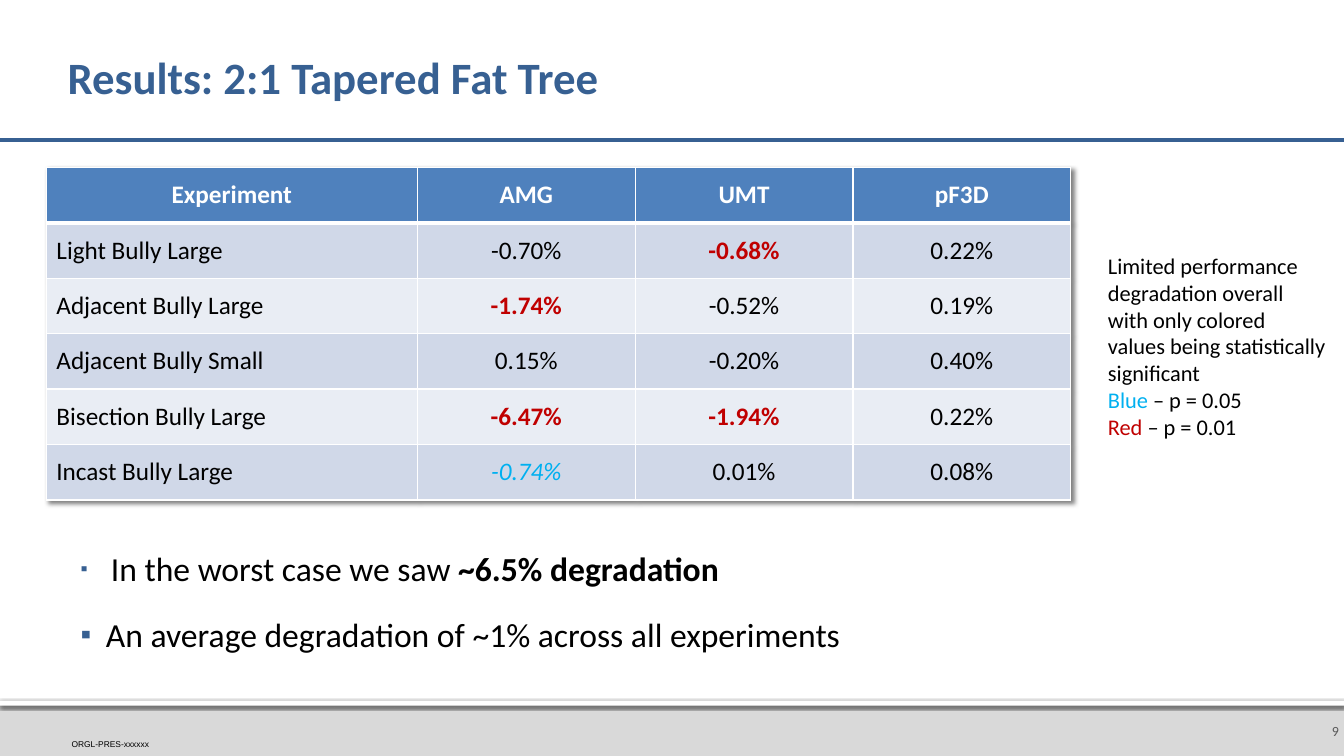
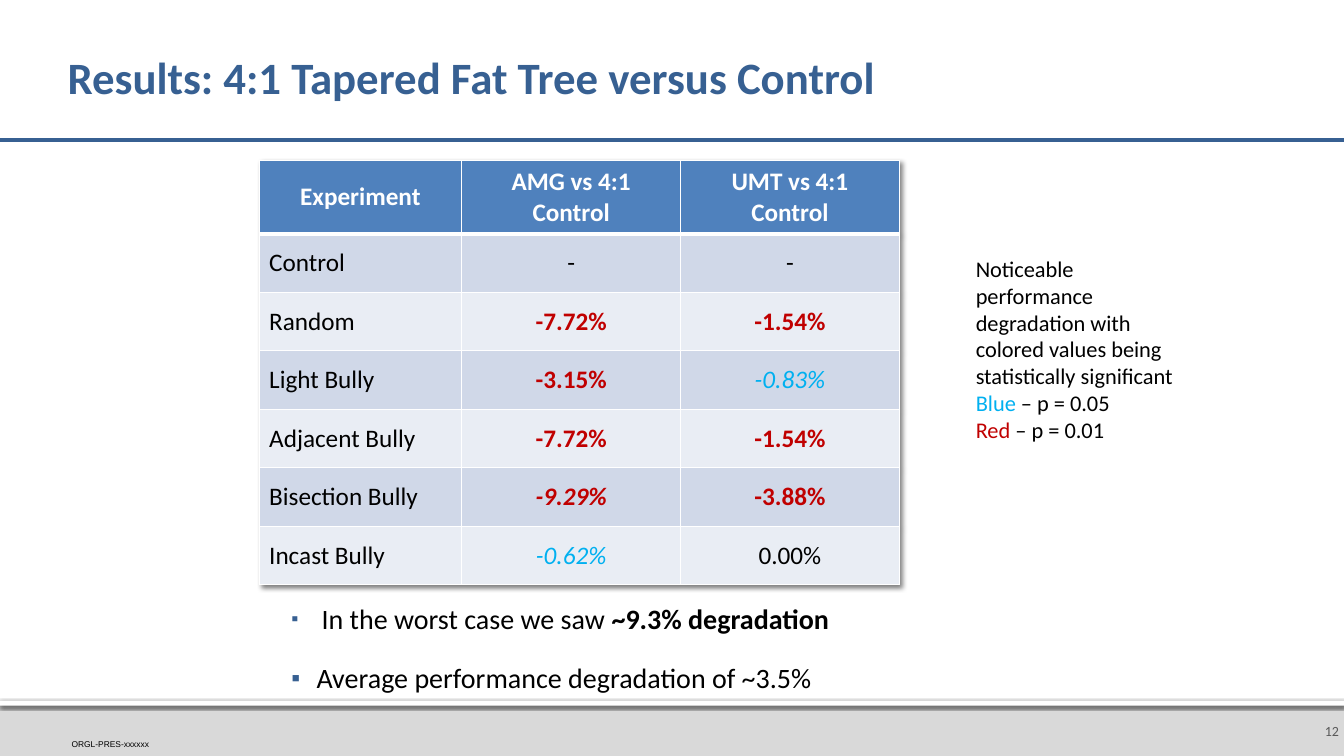
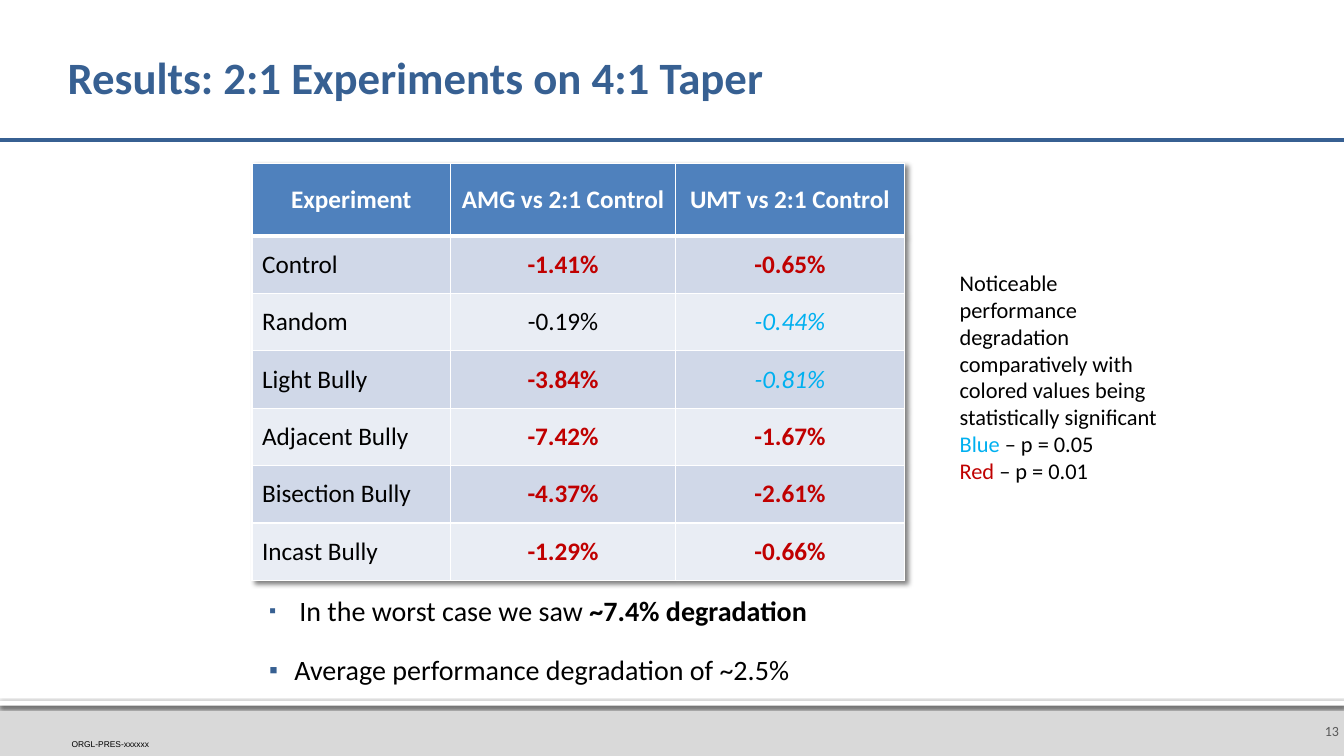
from dataclasses import dataclass
from typing import NamedTuple

from lxml.etree import SubElement
from pptx import Presentation
from pptx.dml.color import RGBColor
from pptx.enum.shapes import MSO_CONNECTOR as Connector, MSO_SHAPE as Preset
from pptx.enum.text import MSO_ANCHOR as Anchor, MSO_AUTO_SIZE as AutoSize, PP_ALIGN as Align
from pptx.oxml.ns import qn
from pptx.util import Inches, Pt

NAVY, HEADER_BLUE, BAND_DARK, BAND_LIGHT = "376092", "4F81BD", "D0D8E8", "E9EDF4"
BLACK, WHITE, FOOTER_GREY, NUMBER_GREY = "000000", "FFFFFF", "D9D9D9", "595959"
RED, BLUE = "C00000", "00B0F0"
WIDTH, HEIGHT = 13.33, 7.5
FOOTER_TOP = 6.95


class Span(NamedTuple):
    """A stretch of text with one look."""
    text: str
    color: str = BLACK
    bold: bool = False
    italic: bool = False
    size: float | None = None


class Box(NamedTuple):
    left: float
    top: float
    width: float
    height: float

    def lengths(self) -> list:
        return [Inches(value) for value in self]


def red(text: str, italic: bool = False) -> Span:
    return Span(text, RED, bold=True, italic=italic)


def blue(text: str) -> Span:
    return Span(text, BLUE, italic=True)


@dataclass
class ResultTable:
    left: float
    top: float
    columns: list[float]
    header_height: float
    row_height: float
    headings: list[str]
    rows: list[tuple]


@dataclass
class ResultSlide:
    number: int
    title: str
    table: ResultTable
    note: str
    note_box: Box
    worst: str
    average: str
    bullet_box: Box
    bullet_size: float


# Text and colour helpers
def rgb(color: str) -> RGBColor:
    return RGBColor.from_string(color)


def style_run(run, span: Span, size: float, font: str = "Calibri") -> None:
    run.font.name = font
    run.font.size = Pt(span.size or size)
    run.font.bold = span.bold
    run.font.italic = span.italic
    run.font.color.rgb = rgb(span.color)


def write_spans(paragraph, spans: list[Span], size: float) -> None:
    for span in spans:
        run = paragraph.add_run()
        run.text = span.text
        style_run(run, span, size)


def add_frame(slide, box: Box, insets=(0.1, 0.05, 0.1, 0.05), anchor=Anchor.TOP):
    frame = slide.shapes.add_textbox(*box.lengths()).text_frame
    frame.word_wrap = True
    frame.vertical_anchor = anchor
    (frame.margin_left, frame.margin_top,
     frame.margin_right, frame.margin_bottom) = map(Inches, insets)
    return frame


def add_label(slide, box: Box, span: Span, size: float, insets, anchor,
              align=Align.LEFT, font: str = "Calibri"):
    frame = add_frame(slide, box, insets, anchor)
    frame.text = span.text
    paragraph = frame.paragraphs[0]
    paragraph.alignment = align
    style_run(paragraph.runs[0], span, size, font)
    return frame


# XML helpers
def add_solid(parent, tag: str, color: str):
    return SubElement(SubElement(parent, qn(tag)), qn("a:srgbClr"), val=color)


def add_shadow(effects, alpha: int, blur: float, distance: float, angle: int) -> None:
    shadow = SubElement(effects, qn("a:outerShdw"), blurRad=str(Pt(blur)),
                        dist=str(Pt(distance)), dir=str(angle * 60000),
                        algn="tl", rotWithShape="0")
    color = SubElement(shadow, qn("a:srgbClr"), val=BLACK)
    SubElement(color, qn("a:alpha"), val=str(alpha * 1000))


def add_borders(cell, top: float, bottom: float) -> None:
    properties = cell._tc.get_or_add_tcPr()
    for side, width in (("L", 1), ("R", 1), ("T", top), ("B", bottom)):
        line = SubElement(properties, qn(f"a:ln{side}"), w=str(Pt(width)))
        add_solid(line, "a:solidFill", WHITE)


def add_bullet(paragraph) -> None:
    paragraph.space_before = Pt(18)
    properties = paragraph._p.get_or_add_pPr()
    properties.set("marL", str(Inches(0.31)))
    properties.set("indent", str(Inches(-0.25)))
    add_solid(properties, "a:buClr", NAVY)
    SubElement(properties, qn("a:buSzPct"), val="90000")
    SubElement(properties, qn("a:buFont"), typeface="Arial")
    SubElement(properties, qn("a:buChar"), char="▪")


# Parts shared by all slides
def add_band(slide, height: float, color: str):
    band = slide.shapes.add_shape(Preset.RECTANGLE, *Box(0, FOOTER_TOP, WIDTH, height).lengths())
    band.fill.solid()
    band.fill.fore_color.rgb = rgb(color)
    band.line.fill.background()
    band.shadow.inherit = False
    return band


def add_common_parts(slide, title: str, number: int) -> None:
    add_band(slide, HEIGHT - FOOTER_TOP, FOOTER_GREY)
    strip = add_band(slide, 0.05, WHITE)
    add_shadow(strip.element.spPr.find(qn("a:effectLst")), 60, 2.5, 0.8, 90)

    add_label(slide, Box(12.87, 7, 0.46, 0.5), Span(str(number), NUMBER_GREY), 10,
              (0.1, 0.05, 0.05, 0.05), Anchor.MIDDLE, Align.RIGHT)
    add_label(slide, Box(0.71, 7.33, 1.27, 0.1), Span("ORGL-PRES-xxxxxx"), 6,
              (0, 0, 0, 0), Anchor.BOTTOM, font="Arial")

    rule = slide.shapes.add_connector(Connector.STRAIGHT, Inches(0), Inches(1.39),
                                      Inches(WIDTH), Inches(1.39))
    rule.line.color.rgb = rgb(NAVY)
    rule.line.width = Pt(3)
    SubElement(rule.element.spPr, qn("a:effectLst"))

    heading = add_label(slide, Box(0.67, 0.24, 12, 1.1), Span(title, NAVY, bold=True), 32,
                        (0, 0.05, 0.05, 0.05), Anchor.MIDDLE)
    heading.paragraphs[0].line_spacing = 0.9


# Slide content
def add_result_table(slide, data: ResultTable) -> None:
    header = tuple(Span(text, WHITE, bold=True) for text in data.headings)
    grid = [header, *data.rows]
    heights = [data.header_height] + [data.row_height] * len(data.rows)
    box = Box(data.left, data.top, sum(data.columns), sum(heights))
    table = slide.shapes.add_table(len(grid), len(header), *box.lengths()).table
    effects = SubElement(table._tbl.tblPr, qn("a:effectLst"))
    table._tbl.tblPr.insert(0, effects)
    add_shadow(effects, 50, 3, 3, 45)

    for column, width in zip(table.columns, data.columns):
        column.width = Inches(width)
    for row_index, (values, height) in enumerate(zip(grid, heights)):
        table.rows[row_index].height = Inches(height)
        band = BAND_DARK if row_index % 2 else BAND_LIGHT
        for column_index, value in enumerate(values):
            span = Span(value) if isinstance(value, str) else value
            cell = table.cell(row_index, column_index)
            cell.text = span.text
            cell.vertical_anchor = Anchor.MIDDLE
            add_borders(cell, 3 if row_index == 1 else 1, 3 if row_index == 0 else 1)
            cell.fill.solid()
            cell.fill.fore_color.rgb = rgb(band if row_index else HEADER_BLUE)
            paragraph = cell.text_frame.paragraphs[0]
            row_name = row_index > 0 and column_index == 0
            paragraph.alignment = Align.LEFT if row_name else Align.CENTER
            style_run(paragraph.runs[0], span, 18)


def add_note(slide, text: str, box: Box) -> None:
    frame = add_frame(slide, box)
    frame.auto_size = AutoSize.SHAPE_TO_FIT_TEXT
    write_spans(frame.paragraphs[0], [Span(text)], 16)
    for legend in ([Span("Blue", BLUE), Span(" – p = 0.05")],
                   [Span("Red ", RED), Span("– p = 0.01")]):
        write_spans(frame.add_paragraph(), legend, 16)


def add_findings(slide, content: ResultSlide) -> None:
    frame = add_frame(slide, content.bullet_box, (0, 0, 0, 0))
    worst = [Span(" ", size=16), Span("In the worst case we saw "),
             Span(f"~{content.worst} degradation", bold=True)]
    for paragraph, spans in ((frame.paragraphs[0], worst),
                             (frame.add_paragraph(), [Span(content.average)])):
        add_bullet(paragraph)
        write_spans(paragraph, spans, content.bullet_size)


SLIDES = [
    ResultSlide(
        9, "Results: 2:1 Tapered Fat Tree",
        ResultTable(
            0.46, 1.66, [3.68, 2.16, 2.16, 2.16], 0.55, 0.55,
            ["Experiment", "AMG", "UMT", "pF3D"],
            [("Light Bully Large", "-0.70%", red("-0.68%"), "0.22%"),
             ("Adjacent Bully Large", red("-1.74%"), "-0.52%", "0.19%"),
             ("Adjacent Bully Small", "0.15%", "-0.20%", "0.40%"),
             ("Bisection Bully Large", red("-6.47%"), red("-1.94%"), "0.22%"),
             ("Incast Bully Large", blue("-0.74%"), "0.01%", "0.08%")]),
        "Limited performance degradation overall with only colored values "
        "being statistically significant",
        Box(10.89, 2.45, 2.37, 1.99),
        "6.5%", "An average degradation of ~1% across all experiments",
        Box(0.74, 5.44, 12.12, 1.41), 24),
    ResultSlide(
        12, "Results: 4:1 Tapered Fat Tree versus Control",
        ResultTable(
            2.57, 1.59, [2.01, 2.17, 2.17], 0.73, 0.58,
            ["Experiment", "AMG vs 4:1 Control", "UMT vs 4:1 Control"],
            [("Control", "-", "-"),
             ("Random", red("-7.72%"), red("-1.54%")),
             ("Light Bully", red("-3.15%"), blue("-0.83%")),
             ("Adjacent Bully", red("-7.72%"), red("-1.54%")),
             ("Bisection Bully", red("-9.29%", italic=True), red("-3.88%")),
             ("Incast Bully", blue("-0.62%"), "0.00%")]),
        "Noticeable performance degradation with colored values "
        "being statistically significant",
        Box(9.58, 2.48, 2.37, 1.99),
        "9.3%", "Average performance degradation of ~3.5%",
        Box(2.83, 5.97, 5.6, 1.53), 20),
    ResultSlide(
        13, "Results: 2:1 Experiments on 4:1 Taper",
        ResultTable(
            2.5, 1.62, [1.97, 2.23, 2.27], 0.72, 0.57,
            ["Experiment", "AMG vs 2:1 Control", "UMT vs 2:1 Control"],
            [("Control", red("-1.41%"), red("-0.65%")),
             ("Random", "-0.19%", blue("-0.44%")),
             ("Light Bully", red("-3.84%"), blue("-0.81%")),
             ("Adjacent Bully", red("-7.42%"), red("-1.67%")),
             ("Bisection Bully", red("-4.37%"), red("-2.61%")),
             ("Incast Bully", red("-1.29%"), red("-0.66%"))]),
        "Noticeable performance degradation comparatively with colored values "
        "being statistically significant",
        Box(9.42, 2.62, 2.37, 2.26),
        "7.4%", "Average performance degradation of ~2.5%",
        Box(2.61, 5.89, 5.97, 1.06), 20),
]


def main() -> None:
    presentation = Presentation()
    presentation.slide_width = Inches(WIDTH)
    presentation.slide_height = Inches(HEIGHT)
    for content in SLIDES:
        slide = presentation.slides.add_slide(presentation.slide_layouts[6])
        add_common_parts(slide, content.title, content.number)
        add_result_table(slide, content.table)
        add_findings(slide, content)
        add_note(slide, content.note, content.note_box)
    presentation.save("out.pptx")


if __name__ == "__main__":
    main()
